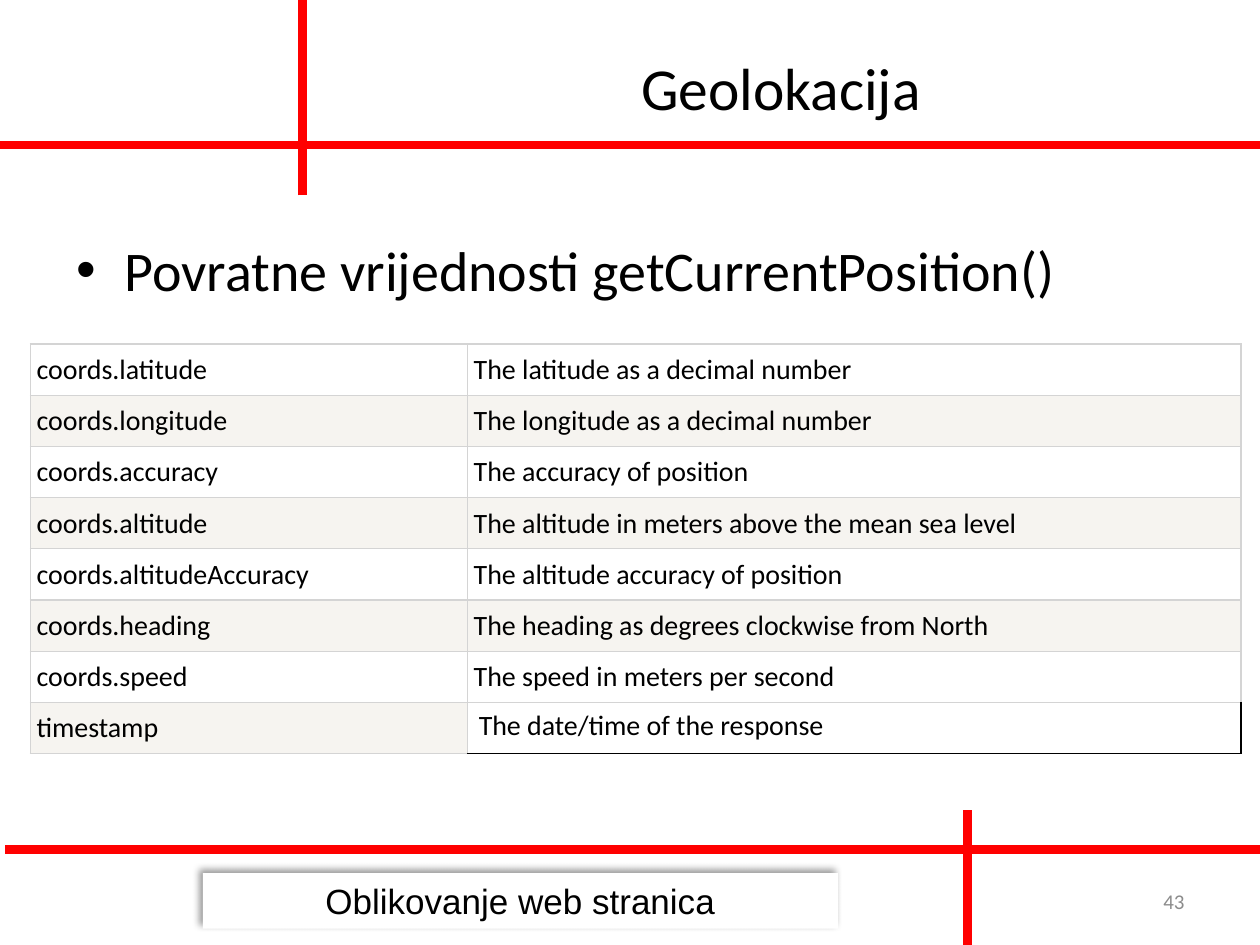
from lxml import etree
from pptx import Presentation
from pptx import util as u
from pptx.dml import color
from pptx.enum import shapes, text
from pptx.oxml import ns

RED, BLACK, WHITE, BAND, GRID = "FF0000", "000000", "FFFFFF", "F6F4F0", "D4D4D4"
RETURN_VALUES = [
    ("coords.latitude", "The latitude as a decimal number"),
    ("coords.longitude", "The longitude as a decimal number"),
    ("coords.accuracy", "The accuracy of position"),
    ("coords.altitude", "The altitude in meters above the mean sea level"),
    ("coords.altitudeAccuracy", "The altitude accuracy of position"),
    ("coords.heading", "The heading as degrees clockwise from North"),
    ("coords.speed", "The speed in meters per second"),
    ("timestamp", "The date/time of the response"),
]


def rgb(value):
    """Turn a hex string into a colour."""
    return color.RGBColor.from_string(value)


def add_xml(parent, tag, **attributes):
    """Append a DrawingML element."""
    return etree.SubElement(parent, ns.qn(tag), attributes)


def write(frame, wording, size, font="Calibri", ink=BLACK, align=text.PP_ALIGN.LEFT):
    """Fill a text frame with one formatted paragraph and return it."""
    frame.text = wording
    paragraph = frame.paragraphs[0]
    paragraph.alignment = align
    style = paragraph.runs[0].font
    style.size, style.name = u.Pt(size), font
    style.color.rgb = rgb(ink)
    return paragraph


def add_label(slide, box, wording, size, anchor=text.MSO_ANCHOR.MIDDLE, **style):
    """Place a wrapping text box and return its paragraph."""
    frame = slide.shapes.add_textbox(*map(u.Inches, box)).text_frame
    frame.word_wrap = True
    frame.vertical_anchor = anchor
    return write(frame, wording, size, **style)


def add_rule(slide, x1, y1, x2, y2):
    """Draw one thick red rule."""
    rule = slide.shapes.add_connector(
        shapes.MSO_CONNECTOR.STRAIGHT, *map(u.Inches, (x1, y1, x2, y2)))
    rule.line.color.rgb = rgb(RED)
    rule.line.width = u.Pt(5)
    add_xml(rule._element.spPr, "a:effectLst")


def add_cross(slide, left, right, y, x, top, bottom):
    """Draw a horizontal rule crossed by a vertical one."""
    add_rule(slide, left, y, right, y)
    add_rule(slide, x, bottom, x, top)


def add_course_plate(slide, box, wording):
    """Place the white course plate with its soft upper-left shadow."""
    plate = slide.shapes.add_shape(shapes.MSO_SHAPE.RECTANGLE, *map(u.Inches, box))
    plate.fill.solid()
    plate.fill.fore_color.rgb = rgb(WHITE)
    plate.line.fill.background()
    plate.shadow.inherit = False
    effects = plate._element.spPr.find(ns.qn("a:effectLst"))
    shadow = add_xml(effects, "a:outerShdw", blurRad=str(u.Pt(4)),
                     dist=str(u.Pt(3)), dir="13500000", algn="br", rotWithShape="0")
    tint = add_xml(shadow, "a:srgbClr", val=BLACK)
    add_xml(tint, "a:alpha", val="40000")
    plate.text_frame.vertical_anchor = text.MSO_ANCHOR.MIDDLE
    write(plate.text_frame, wording, 20, font="Arial", align=text.PP_ALIGN.CENTER)


def add_bullet(slide, box, wording):
    """Place the bulleted statement."""
    statement = add_label(slide, box, wording, 32, anchor=text.MSO_ANCHOR.TOP)
    statement.line_spacing = 1.5
    statement.space_before = u.Pt(6.4)
    properties = statement._p.get_or_add_pPr()
    properties.set("marL", str(u.Inches(0.38)))
    properties.set("indent", str(u.Inches(-0.38)))
    add_xml(properties, "a:buFont", typeface="Arial")
    add_xml(properties, "a:buChar", char="\u2022")


def set_borders(cell, left=GRID, right=GRID, top=GRID, bottom=GRID):
    """Give the four cell edges thin lines."""
    properties = cell._tc.get_or_add_tcPr()
    edges = zip("LRTB", (left, right, top, bottom))
    for place, (side, ink) in enumerate(edges):
        edge = etree.Element(ns.qn(f"a:ln{side}"), {"w": str(u.Pt(0.75))})
        add_xml(add_xml(edge, "a:solidFill"), "a:srgbClr", val=ink)
        properties.insert(place, edge)


def set_margins(cell, across, down):
    """Set equal side margins and equal top and bottom margins."""
    cell.margin_left = cell.margin_right = u.Inches(across)
    cell.margin_top = cell.margin_bottom = u.Inches(down)


def add_values_table(slide, left, top, widths, row_height, entries):
    """Place the banded table; its last description is open and black-edged."""
    size = (sum(widths), row_height * len(entries))
    table = slide.shapes.add_table(
        len(entries), len(widths), *map(u.Inches, (left, top, *size))).table
    table.first_row = table.horz_banding = False
    for column, width in zip(table.columns, widths):
        column.width = u.Inches(width)
    for r, entry in enumerate(entries):
        for c, wording in enumerate(entry):
            cell = table.cell(r, c)
            write(cell.text_frame, wording, 16)
            if (r, c) == (len(entries) - 1, len(widths) - 1):
                cell.fill.background()
                set_margins(cell, 0.09, 0.05)
                set_borders(cell, right=BLACK, bottom=BLACK)
            else:
                cell.fill.solid()
                cell.fill.fore_color.rgb = rgb(BAND if r % 2 else WHITE)
                set_margins(cell, 0.05, 0.07)
                set_borders(cell)


def build():
    """Build and save the slide."""
    deck = Presentation()
    deck.slide_width, deck.slide_height = u.Inches(10), u.Inches(7.5)
    slide = deck.slides.add_slide(deck.slide_layouts[6])
    add_label(slide, (2.4, 0.06, 7.6, 1.25), "Geolokacija", 34,
              align=text.PP_ALIGN.CENTER)
    add_label(slide, (7.17, 6.95, 2.33, 0.4), "43", 12, ink="8C8C8C",
              align=text.PP_ALIGN.RIGHT)
    add_course_plate(slide, (1.61, 6.93, 5.04, 0.44), "Oblikovanje web stranica")
    add_cross(slide, 0, 10, 1.15, x=2.4, top=-0.03, bottom=1.55)
    add_cross(slide, 0.04, 10.04, 6.74, x=7.68, top=6.43, bottom=7.53)
    add_bullet(slide, (0.51, 1.55, 9.38, 4.95),
               "Povratne vrijednosti getCurrentPosition()")
    add_values_table(slide, 0.24, 2.73, (3.47, 6.14), 0.4, RETURN_VALUES)
    deck.save("out.pptx")


build()
